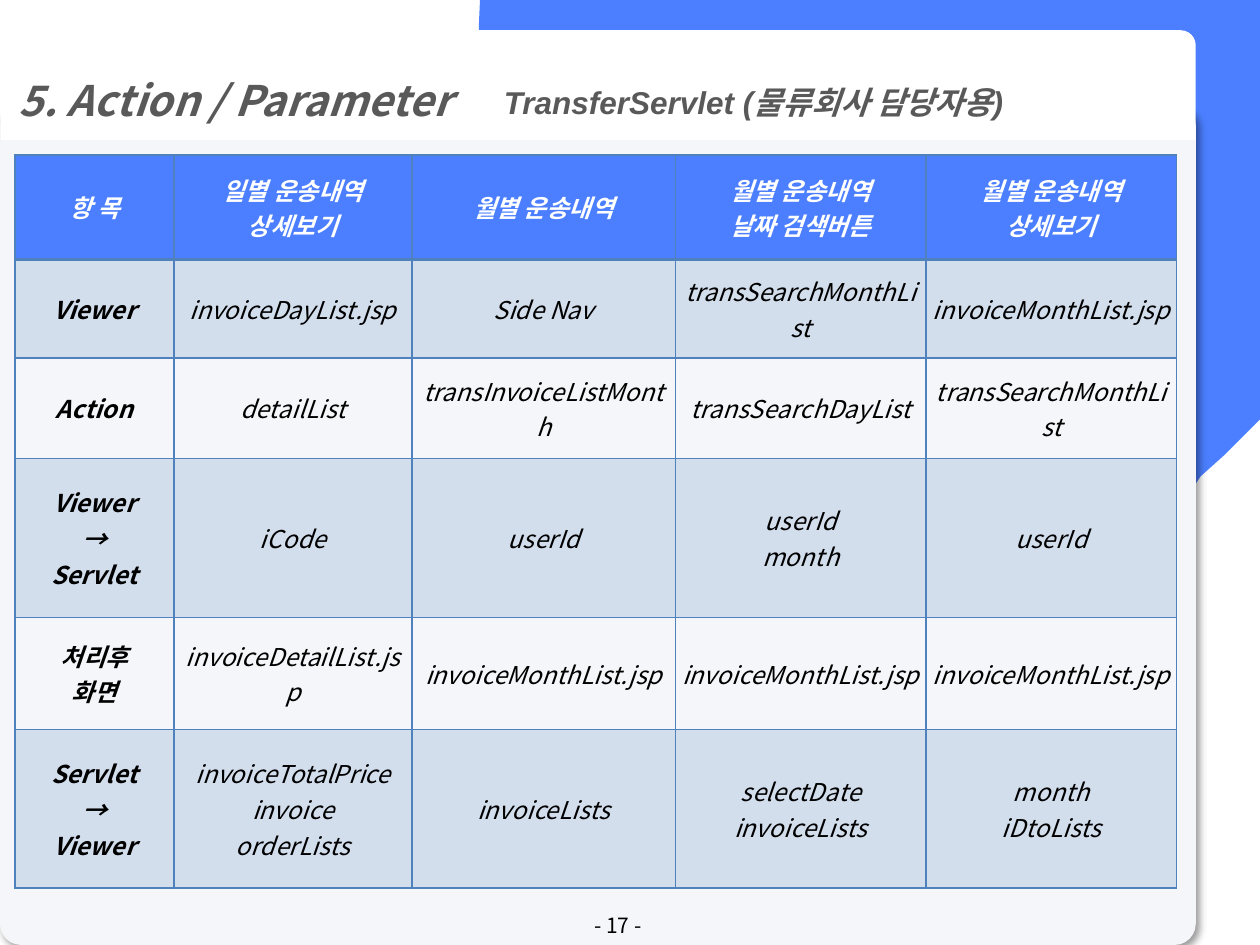
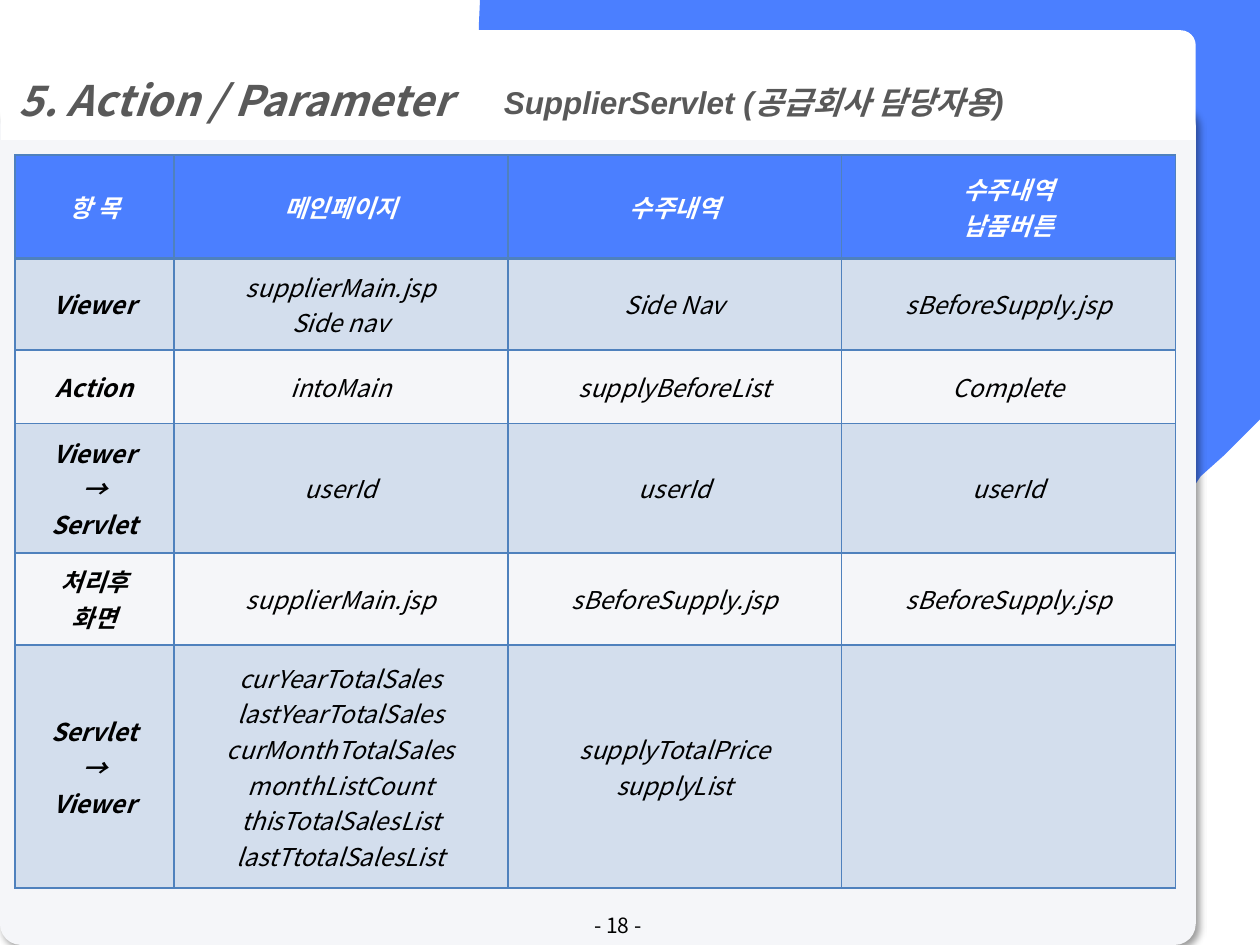
from lxml import etree
from pptx import Presentation
from pptx.dml.color import RGBColor
from pptx.enum.shapes import MSO_SHAPE
from pptx.enum.text import MSO_ANCHOR, MSO_AUTO_SIZE, PP_ALIGN
from pptx.oxml.ns import qn
from pptx.util import Inches, Pt

# Shared look
BLUE, PANEL, WHITE = "4B7FFF", "F5F6F9", "FFFFFF"
GRID_BLUE, BLACK, GREY = "4F81BD", "000000", "595959"
SANS, ARIAL = "Noto Sans CJK KR", "Arial"
NO_STYLE = "{2D5ABB26-0587-4C30-8999-92F81FD0307C}"

# The slide is a grid of 1000 columns by 750 rows
COLUMNS, ROWS = 1000, 750
SLIDE_W, SLIDE_H = Inches(10), Inches(7.5)
UNIT = SLIDE_W // COLUMNS

# Blue backdrop: lines have one point, curves have two handles and an end
BACKDROP_START = (1000, 0)
BACKDROP = [
    [(1000, 333)], [(972, 361)], [(953, 378)], [(949, 384)],
    [(944, 389), (939, 395), (934, 400)], [(643, 692)],
    [(563, 771), (438, 776), (353, 707)], [(337, 692)], [(322, 676)],
    [(253, 591), (258, 465), (337, 386)], [(488, 235)], [(454, 201)],
    [(404, 151), (380, 87), (380, 22)], [(381, 0)],
]

# Row headings are the same in every table
ROW_HEADS = ["항 목", "Viewer", "Action", "Viewer\n→\nServlet",
             "처리후\n화면", "Servlet\n→\nViewer"]

TRANSFER = {
    "page": 17,
    "subtitle": "TransferServlet (물류회사 담당자용)",
    "widths": [126, 189, 209, 199, 199],
    "heights": [83, 78, 80, 126, 89, 126],
    "body": [
        ["일별 운송내역\n상세보기", "월별 운송내역",
         "월별 운송내역\n날짜 검색버튼", "월별 운송내역\n상세보기"],
        ["invoiceDayList.jsp", "Side Nav",
         "transSearchMonthList", "invoiceMonthList.jsp"],
        ["detailList", "transInvoiceListMonth",
         "transSearchDayList", "transSearchMonthList"],
        ["iCode", "userId", "userId\nmonth", "userId"],
        ["invoiceDetailList.jsp"] + ["invoiceMonthList.jsp"] * 3,
        ["invoiceTotalPrice\ninvoice\norderLists", "invoiceLists",
         "selectDate\ninvoiceLists", "month\niDtoLists"],
    ],
}

SUPPLIER = {
    "page": 18,
    "subtitle": "SupplierServlet (공급회사 담당자용)",
    "widths": [126, 265, 265, 265],
    "heights": [82, 73, 58, 103, 73, 193],
    "body": [
        ["메인페이지", "수주내역", "수주내역\n납품버튼"],
        ["supplierMain.jsp\nSide nav", "Side Nav", "sBeforeSupply.jsp"],
        ["intoMain", "supplyBeforeList", "Complete"],
        ["userId"] * 3,
        ["supplierMain.jsp", "sBeforeSupply.jsp", "sBeforeSupply.jsp"],
        ["curYearTotalSales\nlastYearTotalSales\ncurMonthTotalSales\n"
         "monthListCount\nthisTotalSalesList\nlastTtotalSalesList",
         "supplyTotalPrice\nsupplyList", ""],
    ],
}


def color(hex_string):
    return RGBColor.from_string(hex_string)


def area(*cells):
    """Turn grid cells into lengths."""
    return [UNIT * cell for cell in cells]


def add_xml(parent, tag, **attributes):
    return etree.SubElement(parent, qn(tag), attributes)


def paint(item, hex_string):
    item.fill.solid()
    item.fill.fore_color.rgb = color(hex_string)


def write(frame, text, size, hex_string, font=SANS, bold=False, italic=False,
          align=PP_ALIGN.LEFT, spacing=None):
    frame.text = text
    for paragraph in frame.paragraphs:
        paragraph.alignment = align
        paragraph.line_spacing = spacing
        for run in paragraph.runs:
            run.font.name, run.font.size = font, Pt(size)
            run.font.bold, run.font.italic = bold, italic
            run.font.color.rgb = color(hex_string)
            # Hangul always uses the sans face
            add_xml(run.font._element, "a:ea", typeface=SANS)


def add_panel(slide, preset, cells, corner, hex_string):
    panel = slide.shapes.add_shape(preset, *area(*cells))
    panel.adjustments[0] = corner
    panel.shadow.inherit = False
    paint(panel, hex_string)
    panel.line.fill.background()
    return panel


def curve(start, handle_a, handle_b, end, steps=12):
    """Points along a cubic curve, kept inside the slide."""
    points = []
    for step in range(1, steps + 1):
        t = step / steps
        weights = ((1 - t) ** 3, 3 * t * (1 - t) ** 2, 3 * t * t * (1 - t), t ** 3)
        x, y = (sum(w * v for w, v in zip(weights, axis))
                for axis in zip(start, handle_a, handle_b, end))
        points.append((round(x), min(round(y), ROWS)))
    return points


def add_backdrop(slide):
    outline, pen = [], BACKDROP_START
    for part in BACKDROP:
        outline += curve(pen, *part) if len(part) == 3 else part
        pen = part[-1]
    builder = slide.shapes.build_freeform(*BACKDROP_START, scale=UNIT)
    builder.add_line_segments(outline, close=True)
    backdrop = builder.convert_to_shape()
    backdrop.shadow.inherit = False
    paint(backdrop, BLUE)
    backdrop.line.fill.background()


def add_content_panel(slide):
    panel = add_panel(slide, MSO_SHAPE.ROUNDED_RECTANGLE, (0, 83, 949, 667),
                      0.025, PANEL)
    effects = panel._element.spPr.find(qn("a:effectLst"))
    shadow = add_xml(effects, "a:outerShdw", blurRad=str(Pt(4)), dist=str(Pt(3)),
                     dir=str(45 * 60000), algn="tl", rotWithShape="0")
    add_xml(add_xml(shadow, "a:srgbClr", val=BLACK), "a:alpha", val="40000")


def add_text(slide, cells, text, size, hex_string, wrap=True, **style):
    box = slide.shapes.add_textbox(*area(*cells))
    write(box.text_frame, text, size, hex_string, **style)
    box.text_frame.word_wrap = wrap
    return box.text_frame


def add_heading(slide, subtitle):
    add_panel(slide, MSO_SHAPE.ROUND_2_SAME_RECTANGLE, (1, 24, 948, 87),
              0.137, WHITE)
    heading = dict(hex_string=GREY, bold=True, italic=True, spacing=1.5)
    title = slide.shapes.title
    title.left, title.top, title.width, title.height = area(5, 27, 940, 84)
    write(title.text_frame, "5. Action / Parameter", 24, **heading)
    title.text_frame.vertical_anchor = MSO_ANCHOR.MIDDLE
    title.text_frame.auto_size = MSO_AUTO_SIZE.NONE
    slide.shapes._spTree.append(title._element)  # in front of its band
    frame = add_text(slide, (390, 46, 439, 56), subtitle, 18, font=ARIAL,
                     wrap=False, **heading)
    frame.auto_size = MSO_AUTO_SIZE.SHAPE_TO_FIT_TEXT


def add_border(cell, side, points):
    line = add_xml(cell._tc.get_or_add_tcPr(), f"a:ln{side}", w=str(Pt(points)))
    add_xml(add_xml(line, "a:solidFill"), "a:srgbClr", val=GRID_BLUE)


def format_cell(cell, text, row, column):
    header = row == 0
    write(cell.text_frame, text, 14, WHITE if header else BLACK, italic=True,
          bold=header or column == 0, align=PP_ALIGN.CENTER)
    cell.vertical_anchor = MSO_ANCHOR.MIDDLE
    cell.margin_left = cell.margin_right = Inches(0.04)
    cell.margin_top = cell.margin_bottom = Inches(0.05)
    # The rule under the header is heavier
    for side, points in (("L", 1), ("R", 1), ("T", 2 if row == 1 else 1),
                         ("B", 2 if header else 1)):
        add_border(cell, side, points)
    # Odd rows carry a light tint
    if header:
        paint(cell, BLUE)
    elif row % 2:
        paint(cell, GRID_BLUE)
        tint = cell._tc.tcPr.find(qn("a:solidFill")).find(qn("a:srgbClr"))
        add_xml(tint, "a:alpha", val="20000")
    else:
        cell.fill.background()


def add_parameter_table(slide, widths, heights, body):
    frame = slide.shapes.add_table(len(heights), len(widths), *area(
        12, 123, sum(widths), sum(heights)))
    table = frame.table
    table.first_row = table.horz_banding = False
    table._tbl.tblPr.find(qn("a:tableStyleId")).text = NO_STYLE
    for column, width in zip(table.columns, widths):
        column.width = UNIT * width
    for row, height in zip(table.rows, heights):
        row.height = UNIT * height
    for r, (head, values) in enumerate(zip(ROW_HEADS, body)):
        for c, text in enumerate([head] + values):
            format_cell(table.cell(r, c), text, r, c)


def add_page_number(slide, page):
    frame = add_text(slide, (374, 721, 233, 26), f"- {page} -", 12, BLACK,
                     align=PP_ALIGN.CENTER)
    frame.vertical_anchor = MSO_ANCHOR.MIDDLE


def add_servlet_slide(deck, servlet):
    slide = deck.slides.add_slide(deck.slide_layouts[5])
    add_backdrop(slide)
    add_content_panel(slide)
    add_page_number(slide, servlet["page"])
    add_heading(slide, servlet["subtitle"])
    add_parameter_table(slide, servlet["widths"], servlet["heights"],
                        servlet["body"])


def main():
    deck = Presentation()
    deck.slide_width, deck.slide_height = SLIDE_W, SLIDE_H
    for servlet in (TRANSFER, SUPPLIER):
        add_servlet_slide(deck, servlet)
    deck.save("out.pptx")


main()
